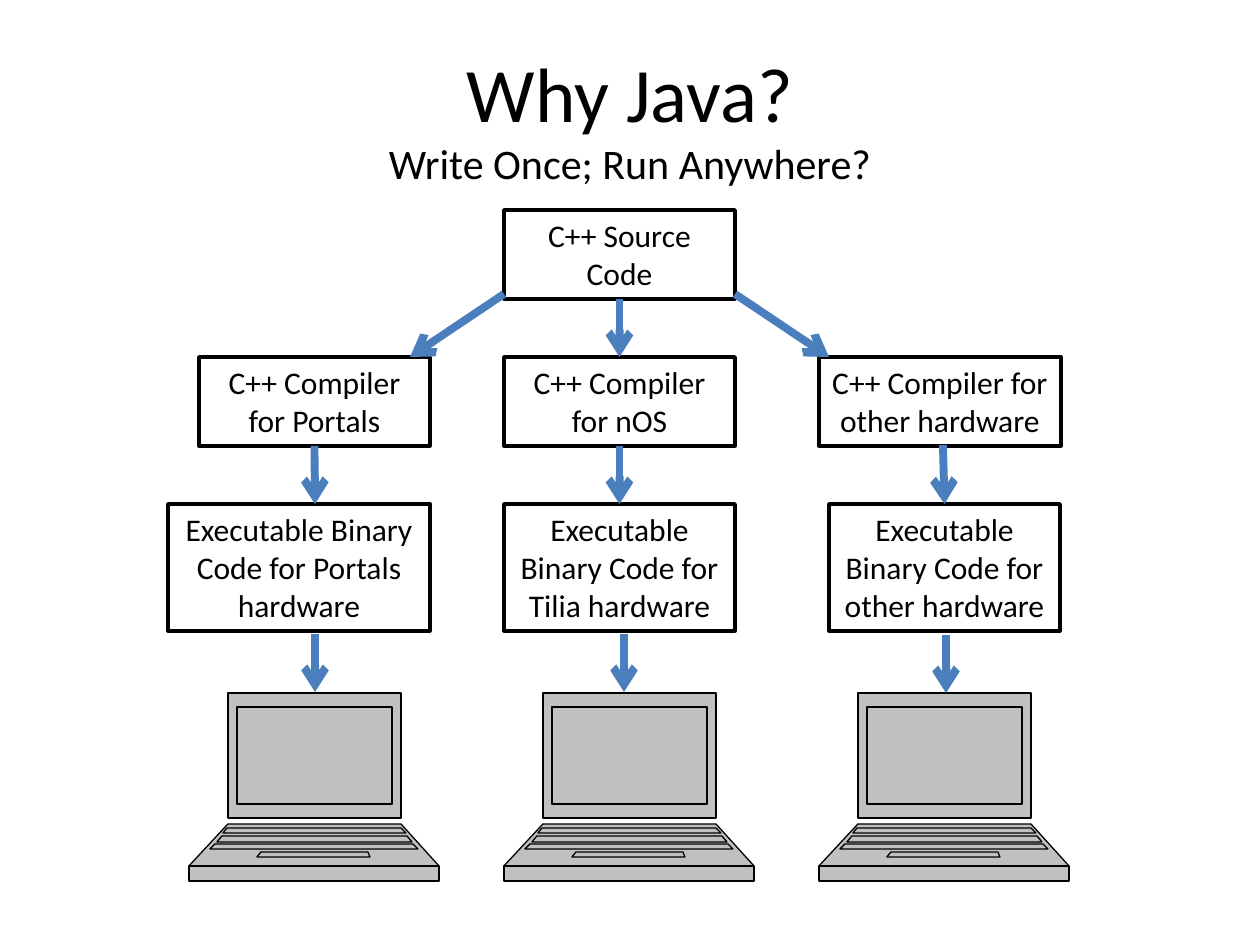
import lxml.etree
import pptx
import pptx.dml.color
import pptx.enum.shapes
import pptx.enum.text
import pptx.oxml.ns
import pptx.util

BLACK = pptx.dml.color.RGBColor(0x00, 0x00, 0x00)
WHITE = pptx.dml.color.RGBColor(0xFF, 0xFF, 0xFF)
GRAY = pptx.dml.color.RGBColor(0xC0, 0xC0, 0xC0)
BLUE = pptx.dml.color.RGBColor(0x4B, 0x7E, 0xBC)
FONT = "Calibri"
SCALE = 914400 / 126
TOP, BOTTOM = 0, 2


def px(*lengths):
    return [pptx.util.Emu(round(length * SCALE)) for length in lengths]


def add_span(para, text, size):
    span = para.add_run()
    span.text = text
    span.font.name = FONT
    span.font.size = pptx.util.Pt(size)
    span.font.color.rgb = BLACK


deck = pptx.Presentation()
deck.slide_width, deck.slide_height = px(1260, 945)
page = deck.slides.add_slide(deck.slide_layouts[5])

title = page.shapes.title
title.left, title.top, title.width, title.height = px(63, 38, 1134, 157)
title.text_frame.vertical_anchor = pptx.enum.text.MSO_ANCHOR.MIDDLE
para = title.text_frame.paragraphs[0]
para.alignment = pptx.enum.text.PP_ALIGN.CENTER
add_span(para, "Why Java?", 44)
para.add_line_break()
add_span(para, "Write Once; Run Anywhere?", 24)

BOXES = {
    "source": ("C++ Source Code", 504, 210, 231, 89),
    "portals compiler": ("C++ Compiler for Portals", 199, 357, 231, 89),
    "nos compiler": ("C++ Compiler for nOS", 504, 357, 231, 89),
    "other compiler": ("C++ Compiler for other hardware", 819, 357, 242, 89),
    "portals binary": ("Executable Binary Code for Portals hardware", 168, 504, 262, 127),
    "nos binary": ("Executable Binary Code for Tilia hardware", 504, 504, 231, 127),
    "other binary": ("Executable Binary Code for other hardware", 829, 504, 231, 127),
}
boxes = {}
for name, (text, *place) in BOXES.items():
    box = page.shapes.add_shape(pptx.enum.shapes.MSO_SHAPE.RECTANGLE, *px(*place))
    box.shadow.inherit = False
    box.fill.solid()
    box.fill.fore_color.rgb = WHITE
    box.line.color.rgb = BLACK
    box.line.width = pptx.util.Pt(2)
    frame = box.text_frame
    frame.word_wrap = True
    frame.auto_size = pptx.enum.text.MSO_AUTO_SIZE.SHAPE_TO_FIT_TEXT
    frame.vertical_anchor = pptx.enum.text.MSO_ANCHOR.TOP
    para = frame.paragraphs[0]
    para.alignment = pptx.enum.text.PP_ALIGN.CENTER
    add_span(para, text, 18)
    boxes[name] = box

LAPTOP_PARTS = [
    (0, 125, 39, 212, 39, 212),
    (131, 173, 39, 212, 0, 250),
    (173, 188, 0, 250, 0, 250),
    (14, 111, 48, 203, 48, 203),
    (135, 140, 38, 212, 34, 217),
    (159, 164, 72, 179, 68, 181),
    (143, 149, 33, 218, 28, 223),
    (151, 156, 26, 224, 21, 229),
]
for left in (189, 504, 819):
    builder = page.shapes.build_freeform(39, 0, scale=SCALE)
    for index, (top, bottom, upper_left, upper_right, lower_left, lower_right) in enumerate(LAPTOP_PARTS):
        if index:
            builder.move_to(upper_left, top)
        builder.add_line_segments(
            [(upper_right, top), (lower_right, bottom), (lower_left, bottom)], close=True)
    laptop = builder.convert_to_shape(*px(left, 693))
    laptop.shadow.inherit = False
    laptop.fill.solid()
    laptop.fill.fore_color.rgb = GRAY
    laptop.line.color.rgb = BLACK
    laptop.line.width = pptx.util.Pt(0.75)
    outlines = laptop._element.spPr.find(".//" + pptx.oxml.ns.qn("a:pathLst"))
    joined = outlines[0]
    for node in list(joined):
        if node.tag == pptx.oxml.ns.qn("a:moveTo"):
            outline = lxml.etree.SubElement(outlines, joined.tag, dict(joined.attrib))
        outline.append(node)
    outlines.remove(joined)

ARROWS = [
    (504, 294, 410, 357, None, None),
    (619, 299, 619, 357, "source", "nos compiler"),
    (735, 294, 829, 357, None, None),
    (315, 446, 315, 504, "portals compiler", None),
    (619, 446, 619, 504, "nos compiler", "nos binary"),
    (943, 445, 944, 505, None, "other binary"),
    (315, 634, 315, 692, None, None),
    (624, 634, 624, 692, None, None),
    (946, 635, 946, 693, None, None),
]
for *ends, start, finish in ARROWS:
    arrow = page.shapes.add_connector(pptx.enum.shapes.MSO_CONNECTOR.STRAIGHT, *px(*ends))
    if start:
        arrow.begin_connect(boxes[start], BOTTOM)
    if finish:
        arrow.end_connect(boxes[finish], TOP)
    arrow.line.color.rgb = BLUE
    arrow.line.width = pptx.util.Pt(4.5)
    line = arrow.line._get_or_add_ln()
    lxml.etree.SubElement(line, pptx.oxml.ns.qn("a:tailEnd"), type="arrow")
    lxml.etree.SubElement(arrow._element.spPr, pptx.oxml.ns.qn("a:effectLst"))

deck.save("out.pptx")
